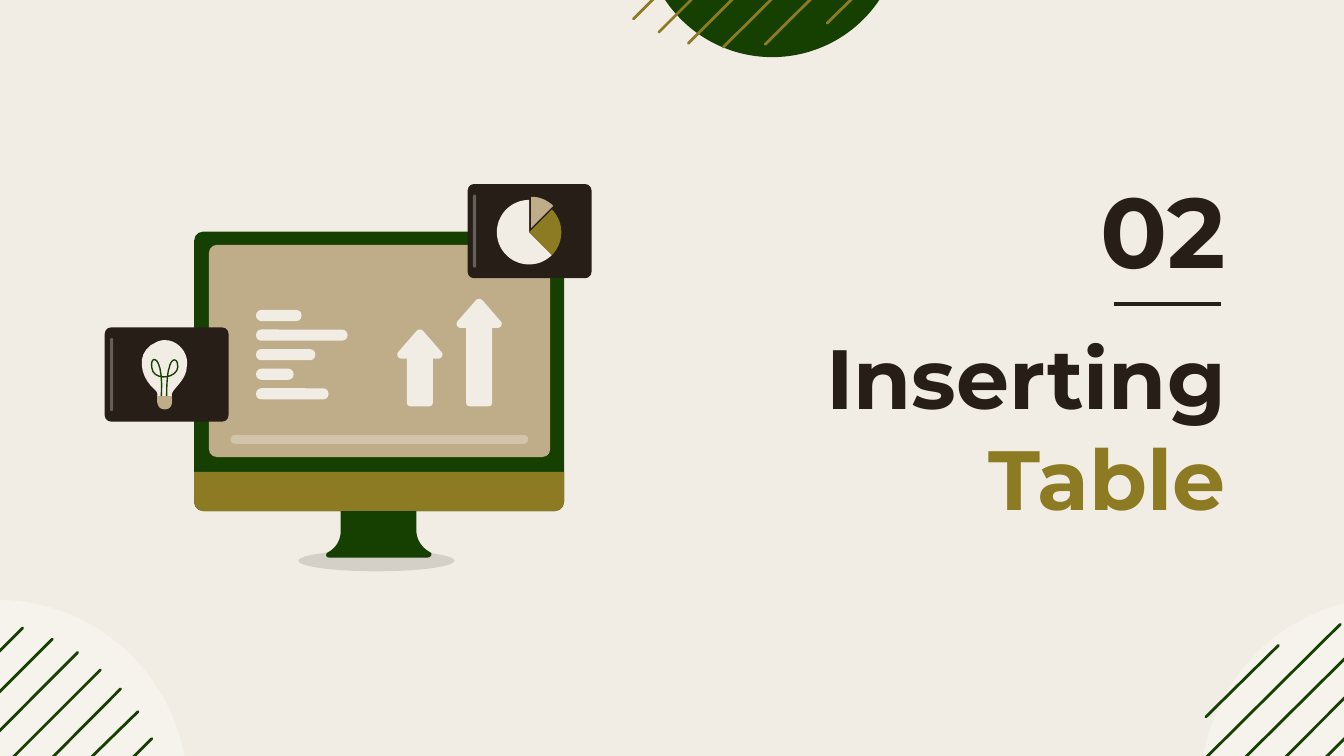
import math

from lxml import etree
from pptx import Presentation
from pptx.dml import color
from pptx.enum import shapes, text
from pptx.oxml import ns
from pptx.util import Cm, Pt

COLORS = {
    "cream": "F2EDE4", "white": "FFFFFF", "black": "000000", "green": "154001",
    "olive": "8C7B23", "tan": "BFAD8A", "ink": "261E17",
}
HATCH = [
    (0.10, 2.26, 1.47, 0.91), (-0.30, 3.43, 2.64, 0.51), (-0.36, 4.22, 3.43, 0.46),
    (-0.25, 4.88, 4.09, 0.53), (-0.05, 5.44, 4.65, 0.74), (0.20, 5.94, 5.13, 0.99),
    (0.43, 6.45, 5.56, 1.32), (1.07, 6.58, 5.94, 1.68), (1.22, 7.04, 6.27, 2.11),
    (1.80, 7.32, 6.53, 2.62),
]
KIND = shapes.MSO_SHAPE


def rgb(name):
    return color.RGBColor.from_string(COLORS[name])


def paint(shape, fill, alpha=None):
    shape.shadow.inherit = False
    shape.line.fill.background()
    shape.fill.solid()
    shape.fill.fore_color.rgb = rgb(fill)
    if alpha:
        hue = shape.fill._xPr.find(".//" + ns.qn("a:srgbClr"))
        etree.SubElement(hue, ns.qn("a:alpha")).set("val", str(alpha * 1000))


def add_preset(slide, kind, box, fill, alpha=None, radius=None):
    shape = slide.shapes.add_shape(kind, *map(Cm, box))
    paint(shape, fill, alpha)
    if radius:
        shape.adjustments[0] = radius / min(box[2:])
    return shape


def add_rule(slide, ends, hue, width, rounded=False):
    rule = slide.shapes.add_connector(shapes.MSO_CONNECTOR.STRAIGHT, *map(Cm, ends))
    rule.line.color.rgb = rgb(hue)
    rule.line.width = Pt(width)
    if rounded:
        rule.line._get_or_add_ln().set("cap", "rnd")
    etree.SubElement(rule._element.spPr, ns.qn("a:effectLst"))


def bezier(a, b, c, d, steps=10):
    for step in range(1, steps + 1):
        t = step / steps
        yield tuple((1 - t) ** 3 * p + 3 * t * (1 - t) ** 2 * q + 3 * t * t * (1 - t) * r + t ** 3 * s
                    for p, q, r, s in zip(a, b, c, d))


def add_outline(slide, origin, start, segments, fill, closed=True):
    points = [start]
    for segment in segments:
        curved = isinstance(segment, tuple)
        points += bezier(points[-1], *segment) if curved else segment
    spots = [(Cm(origin[0] + x), Cm(origin[1] + y)) for x, y in points]
    builder = slide.shapes.build_freeform(*spots[0])
    builder.add_line_segments(spots[1:], close=closed)
    outline = builder.convert_to_shape()
    paint(outline, fill)
    if not closed:
        outline.fill.background()
        outline.line.color.rgb = rgb(fill)
        outline.line.width = Pt(0.75)


def add_words(slide, box, runs, size, anchor=text.MSO_ANCHOR.TOP):
    words = slide.shapes.add_textbox(*map(Cm, box))
    frame = words.text_frame
    frame.word_wrap = True
    frame.vertical_anchor = anchor
    frame.margin_left = frame.margin_right = frame.margin_top = frame.margin_bottom = Cm(0.25)
    line = frame.paragraphs[0]
    line.alignment = text.PP_ALIGN.RIGHT
    for wording, hue in runs:
        run = line.add_run()
        run.text = wording
        run.font.name = "Montserrat"
        run.font.size = Pt(size)
        run.font.bold = True
        run.font.color.rgb = rgb(hue)


def hatched_disc(slide, box, fill, hue, hatch, alpha=None, turn=None):
    add_preset(slide, KIND.OVAL, box, fill, alpha)
    for ends in hatch:
        if turn:
            ends = [middle - end for middle, end in zip(turn * 2, ends)]
        add_rule(slide, [corner + end for corner, end in zip(box[:2] * 2, ends)], hue, 1.5, True)


def up_arrow(slide, left, top, height):
    h = height
    add_outline(slide, (left, top), (0.85, 0.43), [
        [(0.51, 0.04)], ((0.47, 0), (0.42, 0), (0.38, 0.04)),
        [(0.04, 0.43)], ((-0.01, 0.48), (0.03, 0.56), (0.1, 0.56)),
        [(0.2, 0.56), (0.2, h - 0.08)], ((0.2, h - 0.03), (0.22, h), (0.27, h)),
        [(0.62, h)], ((0.67, h), (0.69, h - 0.03), (0.69, h - 0.08)),
        [(0.69, 0.56), (0.79, 0.56)], ((0.86, 0.56), (0.9, 0.48), (0.85, 0.43)),
    ], "cream")


def card(slide, box):
    left, top, _, height = box
    add_preset(slide, KIND.ROUNDED_RECTANGLE, box, "ink", radius=0.12)
    add_preset(slide, KIND.ROUNDED_RECTANGLE, (left + 0.1, top + 0.2, 0.06, height - 0.4),
               "white", 29, 0.03)


def bulb_card(slide, box):
    card(slide, box)
    origin = box[:2]
    add_outline(slide, origin, (1.14, 0.24), [
        ((1.09, 0.24), (1.04, 0.25), (0.99, 0.27)),
        ((0.53, 0.46), (0.69, 0.97), (0.94, 1.17)),
        ((1.02, 1.24), (0.99, 1.3), (0.99, 1.3)), [(1.27, 1.3)],
        ((1.22, 1.19), (1.55, 1.02), (1.55, 0.74)),
        ((1.6, 0.51), (1.4, 0.24), (1.14, 0.24)),
    ], "cream")
    add_outline(slide, origin, (1.27, 1.3), [
        ((1.27, 1.4), (1.3, 1.55), (1.12, 1.55)),
        ((0.97, 1.53), (0.99, 1.37), (0.99, 1.3)),
    ], "tan")
    add_outline(slide, origin, (1.17, 1.3), [
        ((1.17, 1.3), (1.17, 0.86), (1.22, 0.76)),
        ((1.24, 0.64), (1.32, 0.56), (1.37, 0.66)),
        ((1.47, 0.97), (0.91, 1.04), (0.89, 0.76)),
        ((0.84, 0.51), (1.12, 0.48), (1.07, 1.3)),
    ], "green", closed=False)


def pie_card(slide, box):
    card(slide, box)
    for hub, radius, start, end, hue in [((1.2, 0.83), 0.59, 270, 315, "tan"),
                                         ((1.16, 0.91), 0.61, 45, 270, "cream"),
                                         ((1.16, 0.91), 0.61, -45, 45, "olive")]:
        rim = [(hub[0] + radius * math.cos(math.radians(angle)),
                hub[1] + radius * math.sin(math.radians(angle)))
               for angle in range(start, end + 1, 5)]
        add_outline(slide, box[:2], hub, [rim], hue)


def monitor(slide, box):
    left, top, width, height = box
    rounded = KIND.ROUNDED_RECTANGLE
    add_preset(slide, KIND.OVAL, (left + 1.97, top + 6.02, 2.95, 0.4), "black", 12)
    add_preset(slide, rounded, box, "green", radius=0.17)
    base = add_preset(slide, KIND.ROUND_2_SAME_RECTANGLE,
                      (left, top + height - 0.74, width, 0.74), "olive", radius=0.17)
    base.rotation = 180
    add_outline(slide, (left, top), (2.77, 5.65), [
        [(2.77, 5.28), (4.2, 5.28), (4.2, 5.65)],
        ((4.2, 5.83), (4.31, 5.98), (4.46, 6.06)),
        ((4.51, 6.08), (4.48, 6.16), (4.41, 6.16)), [(2.55, 6.16)],
        ((2.48, 6.16), (2.48, 6.08), (2.53, 6.06)),
        ((2.68, 5.98), (2.77, 5.83), (2.77, 5.65)),
    ], "green")
    add_preset(slide, rounded, (left + 0.28, top + 0.25, 6.45, 4.01), "tan", radius=0.15)
    for row, length in enumerate([0.86, 1.73, 1.12, 0.71, 1.37]):
        add_preset(slide, rounded, (left + 1.17, top + 1.48 + row * 0.37, length, 0.21),
                   "cream", radius=0.1)
    up_arrow(slide, left + 3.82, top + 1.84, 1.46)
    up_arrow(slide, left + 4.94, top + 1.26, 2.04)
    add_preset(slide, rounded, (left + 0.69, top + 3.84, 5.62, 0.17), "white", 29, 0.08)


def heading(slide, box):
    left, top, width, height = box
    right = left + width
    add_words(slide, (left, top + 2.97, width, height - 2.97),
              [("Inserting ", "ink"), ("Table", "olive")], 45)
    add_words(slide, (right - 3, top, 3, 2.77), [("02", "ink")], 53, text.MSO_ANCHOR.MIDDLE)
    add_rule(slide, (right - 2.36, top + 2.8, right - 0.35, top + 2.8), "ink", 2.25)


def main():
    deck = Presentation()
    deck.slide_width, deck.slide_height = Cm(25.4), Cm(14.29)
    slide = deck.slides.add_slide(deck.slide_layouts[6])
    slide.background.fill.solid()
    slide.background.fill.fore_color.rgb = rgb("cream")
    hatched_disc(slide, (-3.66, 11.34, 7.21, 7.26), "white", "green", HATCH[3:], 36)
    hatched_disc(slide, (22.69, 11.29, 7.21, 7.26), "white", "green", HATCH[:5], 36)
    hatched_disc(slide, (12.16, -3.79, 4.87, 4.87), "green", "olive", HATCH[:6],
                 turn=(4.94, 5.14))
    heading(slide, (15.16, 2.94, 8.26, 7.34))
    monitor(slide, (3.67, 4.38, 6.99, 5.28))
    bulb_card(slide, (1.98, 6.19, 2.34, 1.78))
    pie_card(slide, (8.84, 3.48, 2.34, 1.78))
    deck.save("out.pptx")


if __name__ == "__main__":
    main()
